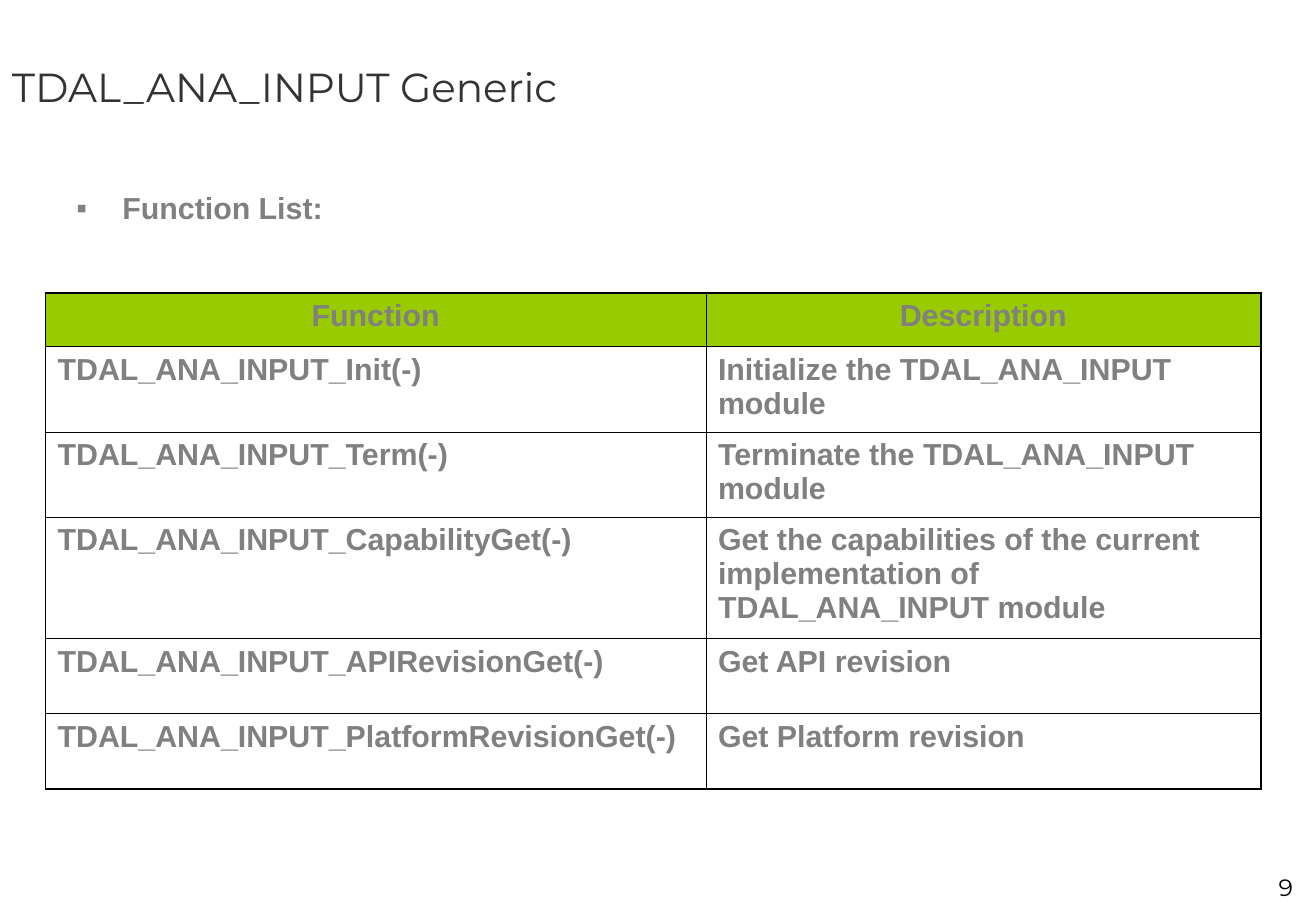
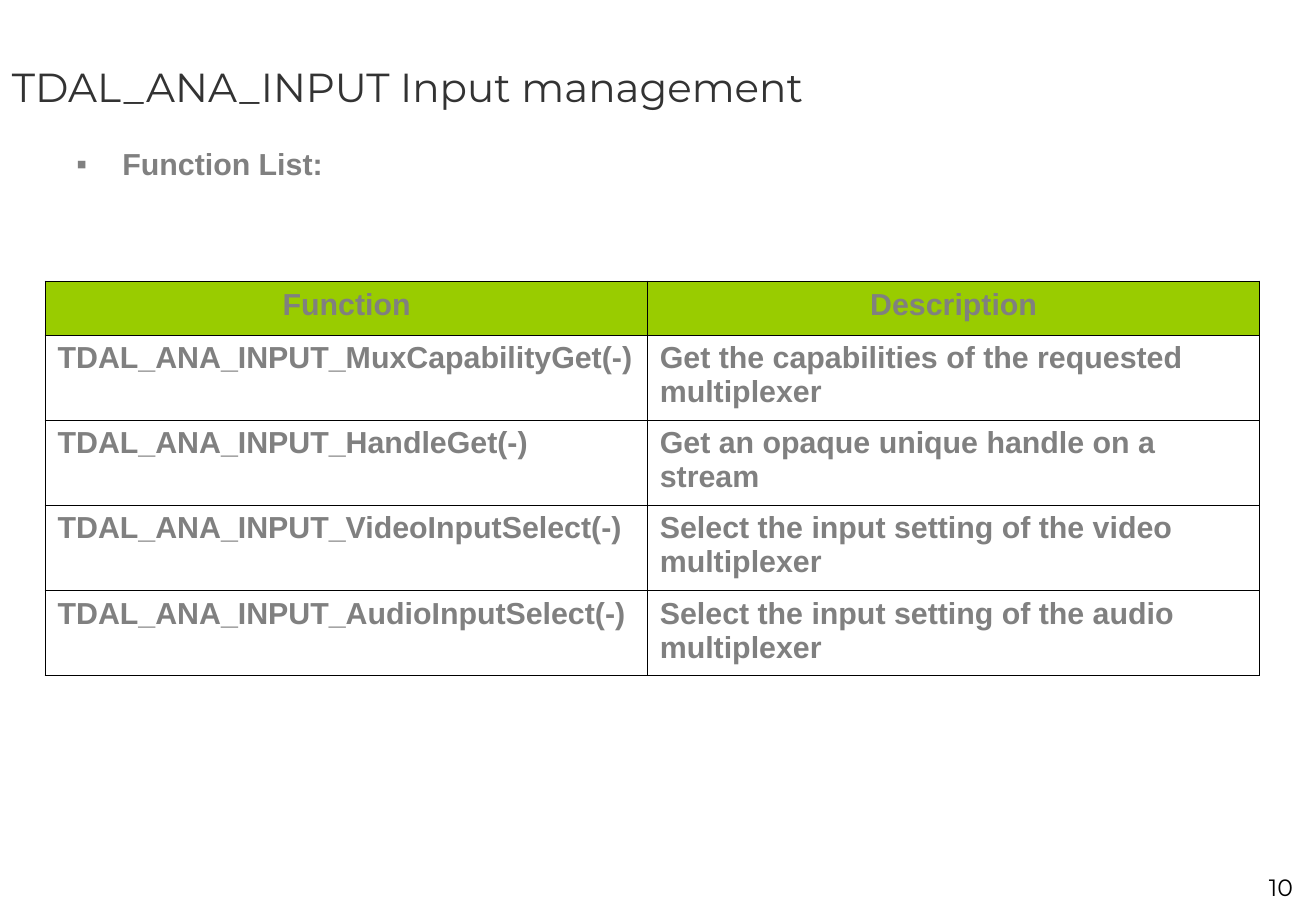
from lxml import etree
from pptx import Presentation
from pptx.dml.color import RGBColor
from pptx.enum.text import MSO_ANCHOR, PP_ALIGN
from pptx.oxml.ns import qn
from pptx.util import Inches, Pt

LEFT, CENTER, RIGHT = PP_ALIGN.LEFT, PP_ALIGN.CENTER, PP_ALIGN.RIGHT
TOP, MIDDLE = MSO_ANCHOR.TOP, MSO_ANCHOR.MIDDLE

COLORS = {"title": "333333", "body": "808080", "header": "99CC00",
          "border": "000000", "number": "000000"}
FORMATS = {
    "title": {"name": "Montserrat", "size": Pt(24), "bold": False},
    "body": {"name": "Arial", "size": Pt(18), "bold": True},
    "number": {"name": "Montserrat", "size": Pt(14), "bold": False},
}
OUTER_LINE, INNER_LINE = Pt(1.08), Pt(0.45)
SPACE_BEFORE = Pt(4.5)
BULLET_INDENT = Inches(0.38)
GRID = 100  # columns and rows per slide
TABLE_LEFT = 3.46
HEADINGS = ("Function", "Description")

PAGES = [
    {
        "title": "TDAL_ANA_INPUT Generic", "number": 9,
        "list_top": 20.15, "table_top": 32.13,
        "columns": (50.18, 42.16),
        "rows": (5.93, 9.35, 9.35, 13.33, 8.25, 8.25),
        "functions": [
            ("Init", "Initialize the TDAL_ANA_INPUT module"),
            ("Term", "Terminate the TDAL_ANA_INPUT module"),
            ("CapabilityGet", "Get the capabilities of the current "
                              "implementation of TDAL_ANA_INPUT module"),
            ("APIRevisionGet", "Get API revision"),
            ("PlatformRevisionGet", "Get Platform revision"),
        ],
    },
    {
        "title": "TDAL_ANA_INPUT Input management", "number": 10,
        "list_top": 15.33, "table_top": 30.9,
        "columns": (45.76, 46.5),
        "rows": (5.87,) + (9.35,) * 4,
        "functions": [
            ("MuxCapabilityGet",
             "Get the capabilities of the requested multiplexer"),
            ("HandleGet", "Get an opaque unique handle on a stream"),
            ("VideoInputSelect",
             "Select the input setting of the video multiplexer"),
            ("AudioInputSelect",
             "Select the input setting of the audio multiplexer"),
        ],
    },
]


class Deck:
    """Holds the shared style and the slide being built."""

    def __init__(self):
        self.prs = Presentation()
        self.prs.slide_width, self.prs.slide_height = Inches(10.84), Inches(7.5)
        self.slide = None

    def x(self, columns):
        return round(self.prs.slide_width * columns / GRID)

    def y(self, rows):
        return round(self.prs.slide_height * rows / GRID)

    def new_slide(self):
        self.slide = self.prs.slides.add_slide(self.prs.slide_layouts[6])

    def fill_text(self, frame, text, role, align=LEFT):
        paragraph = frame.paragraphs[0]
        paragraph.alignment = align
        run = paragraph.add_run()
        run.text = text
        for key, value in FORMATS[role].items():
            setattr(run.font, key, value)
        run.font.color.rgb = RGBColor.from_string(COLORS[role])
        return paragraph

    def text(self, text, role, left, top, width, height,
             align=LEFT, anchor=TOP):
        box = self.slide.shapes.add_textbox(
            self.x(left), self.y(top), self.x(width), self.y(height))
        box.text_frame.word_wrap = True
        box.text_frame.vertical_anchor = anchor
        return self.fill_text(box.text_frame, text, role, align)

    def title(self, text):
        self.text(text, "title", 0, 0, 100, 18.93, anchor=MIDDLE)

    def page_number(self, number):
        self.text(str(number), "number", 88.47, 95.2, 10.7, 4.4, align=RIGHT)

    def bullet(self, text, top):
        paragraph = self.text(text, "body", 4.89, top, 91.42, 6)
        paragraph.space_before = SPACE_BEFORE
        props = paragraph._p.get_or_add_pPr()
        props.set("marL", str(BULLET_INDENT))
        props.set("indent", str(-BULLET_INDENT))
        color = etree.SubElement(props, qn("a:buClr"))
        etree.SubElement(color, qn("a:srgbClr"), val=COLORS["body"])
        etree.SubElement(props, qn("a:buFont"), typeface="Arial")
        etree.SubElement(props, qn("a:buChar"), char="▪")

    def borders(self, cell, outer_sides):
        """Draw all four sides, heavier on those at the table's edge."""
        props = cell._tc.get_or_add_tcPr()
        for index, side in enumerate("LRTB"):
            width = OUTER_LINE if side in outer_sides else INNER_LINE
            line = etree.Element(qn(f"a:ln{side}"), w=str(width))
            fill = etree.SubElement(line, qn("a:solidFill"))
            etree.SubElement(fill, qn("a:srgbClr"), val=COLORS["border"])
            props.insert(index, line)

    def table(self, records, top, columns, rows):
        table = self.slide.shapes.add_table(
            len(rows), len(columns), self.x(TABLE_LEFT), self.y(top),
            self.x(sum(columns)), self.y(sum(rows))).table
        table.first_row = table.horz_banding = False
        for column, width in zip(table.columns, columns):
            column.width = self.x(width)
        for r, (row, height, record) in enumerate(
                zip(table.rows, rows, records)):
            row.height = self.y(height)
            for c, (cell, text) in enumerate(zip(row.cells, record)):
                paragraph = self.fill_text(cell.text_frame, text, "body",
                                           LEFT if r else CENTER)
                paragraph.space_before = SPACE_BEFORE
                if r:
                    cell.fill.background()
                else:
                    cell.fill.solid()
                    cell.fill.fore_color.rgb = RGBColor.from_string(
                        COLORS["header"])
                edges = {"L": c == 0, "R": c == len(columns) - 1,
                         "T": r == 0, "B": r == len(rows) - 1}
                self.borders(cell, [s for s, on in edges.items() if on])


def main():
    deck = Deck()
    for page in PAGES:
        deck.new_slide()
        deck.title(page["title"])
        deck.bullet("Function List:", page["list_top"])
        records = [HEADINGS] + [(f"TDAL_ANA_INPUT_{name}(-)", description)
                                for name, description in page["functions"]]
        deck.table(records, page["table_top"], page["columns"], page["rows"])
        deck.page_number(page["number"])
    deck.prs.save("out.pptx")


if __name__ == "__main__":
    main()
